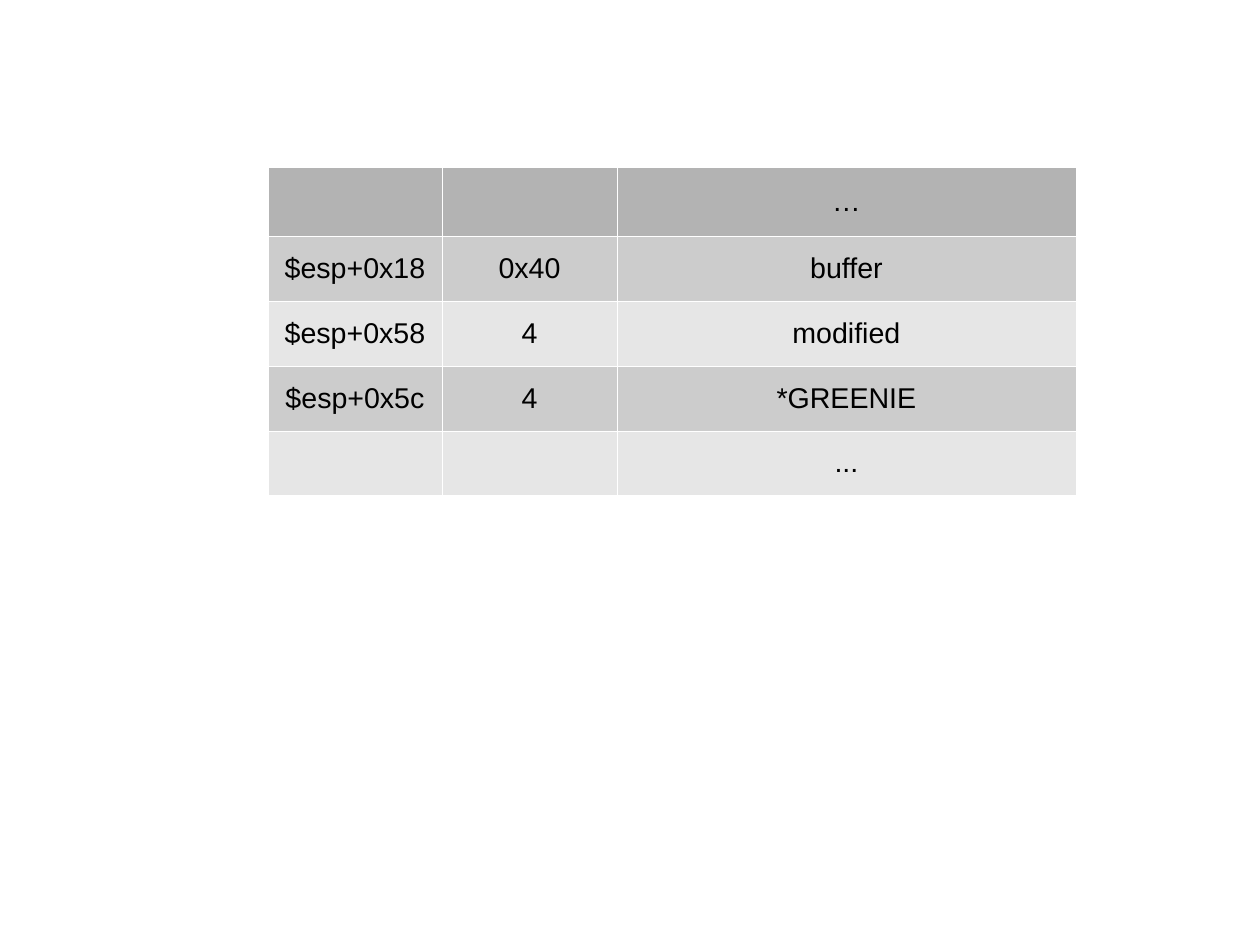
from lxml.etree import SubElement
from pptx import Presentation
from pptx.dml.color import RGBColor
from pptx.enum.text import MSO_ANCHOR, PP_ALIGN
from pptx.oxml.ns import qn
from pptx.util import Pt

COLORS = {
    "header": "B3B3B3",
    "odd": "CCCCCC",
    "even": "E6E6E6",
    "border": "FFFFFF",
    "text": "000000",
}
STACK_ROWS = [
    ("", "", "…"),
    ("$esp+0x18", "0x40", "buffer"),
    ("$esp+0x58", "4", "modified"),
    ("$esp+0x5c", "4", "*GREENIE"),
    ("", "", "..."),
]


def add_borders(cell, color, width):
    tcPr = cell._tc.get_or_add_tcPr()
    for i, side in enumerate(("lnL", "lnR", "lnT", "lnB")):
        ln = SubElement(tcPr, qn(f"a:{side}"), w=str(Pt(width)))
        fill = SubElement(ln, qn("a:solidFill"))
        SubElement(fill, qn("a:srgbClr"), val=color)
        # Borders must precede the cell fill
        tcPr.insert(i, ln)


def fill_cell(cell, text, color):
    cell.fill.solid()
    cell.fill.fore_color.rgb = RGBColor.from_string(color)
    add_borders(cell, COLORS["border"], 0.06)
    cell.vertical_anchor = MSO_ANCHOR.MIDDLE
    p = cell.text_frame.paragraphs[0]
    p.alignment = PP_ALIGN.CENTER
    if text:
        r = p.add_run()
        r.text = text
        r.font.name = "Arial"
        r.font.size = Pt(18)
        r.font.bold = False
        r.font.color.rgb = RGBColor.from_string(COLORS["text"])


def add_stack_table(s, left, top, width, height):
    rows, cols = len(STACK_ROWS), len(STACK_ROWS[0])
    table = s.shapes.add_table(
        rows, cols, Pt(left), Pt(top), Pt(width), Pt(height)).table

    # Two equal narrow columns; the name column takes the rest
    narrow = 110
    for col, w in zip(table.columns, (narrow, narrow, width - 2 * narrow)):
        col.width = Pt(w)

    # Equal body rows under a slightly taller header
    body = 40.8
    for i, row in enumerate(table.rows):
        row.height = Pt(body if i else height - (rows - 1) * body)

    for i, texts in enumerate(STACK_ROWS):
        band = "header" if i == 0 else "odd" if i % 2 else "even"
        for j, text in enumerate(texts):
            fill_cell(table.cell(i, j), text, COLORS[band])


def main():
    prs = Presentation()
    prs.slide_width, prs.slide_height = Pt(793.7), Pt(595.3)
    s = prs.slides.add_slide(prs.slide_layouts[6])
    add_stack_table(s, 168.6, 105.4, 509.2, 206.7)
    prs.save("out.pptx")


if __name__ == "__main__":
    main()
